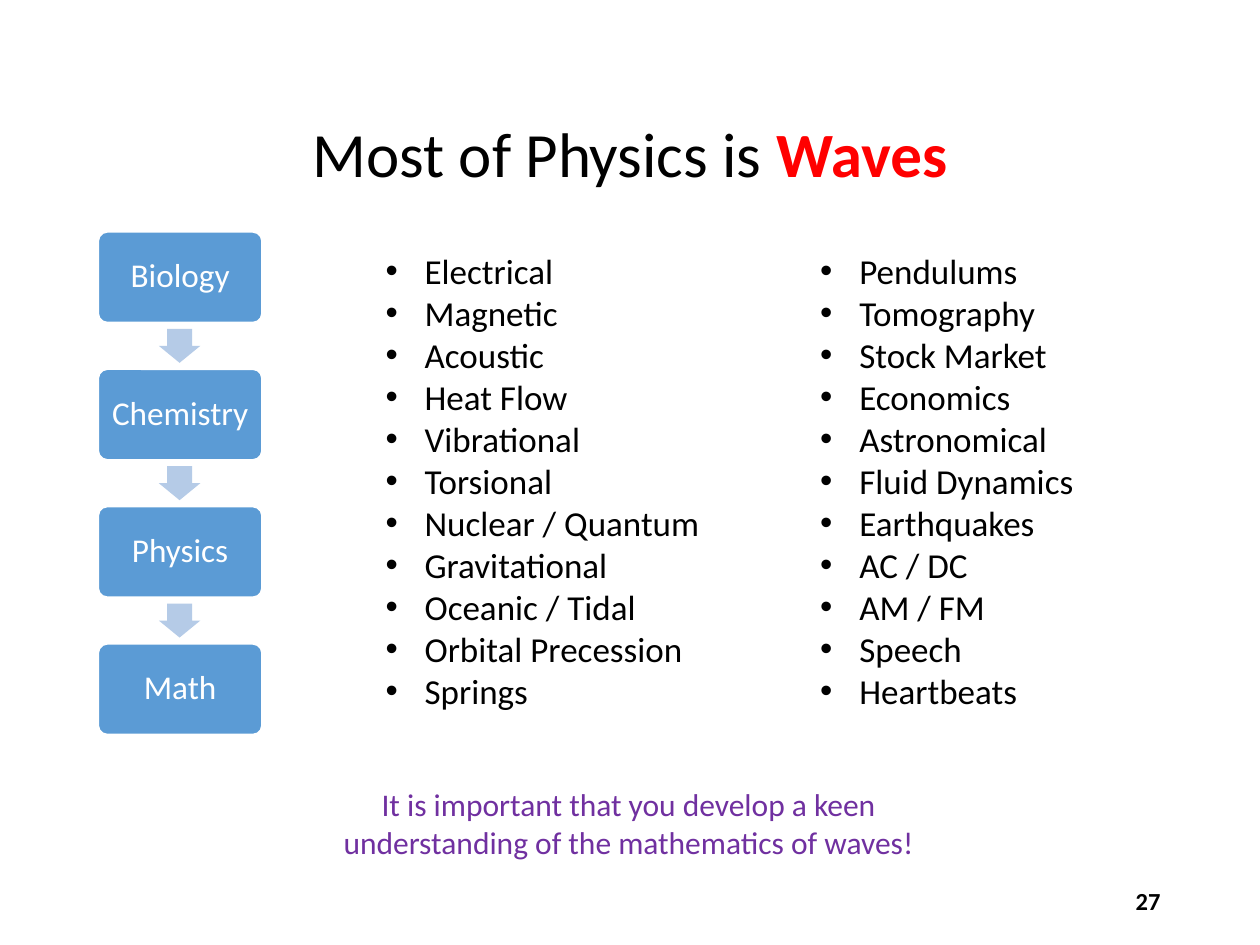
from dataclasses import dataclass

from pptx import Presentation
from pptx.dml.color import RGBColor
from pptx.enum import shapes, text
from pptx.util import Inches, Pt


@dataclass(frozen=True)
class Theme:
    face: str = "Calibri"
    ink: str = "000000"
    red: str = "FF0000"
    note: str = "7030A0"
    box: str = "5B9BD5"
    arrow: str = "B5CBE7"
    white: str = "FFFFFF"
    head: float = 36
    body: float = 20
    step: float = 19
    foot: float = 18
    page: float = 14


@dataclass(frozen=True)
class Area:
    left: float
    top: float
    width: float
    height: float

    def dims(self) -> tuple:
        return tuple(map(Inches, (self.left, self.top, self.width, self.height)))


@dataclass(frozen=True)
class Topics:
    slot: int
    area: Area
    items: tuple[str, ...]


THEME = Theme()
LEFT, CENTER, RIGHT = text.PP_ALIGN.LEFT, text.PP_ALIGN.CENTER, text.PP_ALIGN.RIGHT
TOP, MIDDLE = text.MSO_ANCHOR.TOP, text.MSO_ANCHOR.MIDDLE

STEPS = ("Biology", "Chemistry", "Physics", "Math")
FIRST = Area(0.78, 1.84, 1.3, 0.72)
ARROW = Area(1.29, 2.58, 0.27, 0.33)
PITCH = 1.09

LISTS = (
    Topics(1, Area(2.96, 1.93, 3.13, 3.8), (
        "Electrical", "Magnetic", "Acoustic", "Heat Flow", "Vibrational",
        "Torsional", "Nuclear / Quantum", "Gravitational", "Oceanic / Tidal",
        "Orbital Precession", "Springs")),
    Topics(2, Area(6.41, 1.93, 2.47, 3.8), (
        "Pendulums", "Tomography", "Stock Market", "Economics", "Astronomical",
        "Fluid Dynamics", "Earthquakes", "AC / DC", "AM / FM", "Speech",
        "Heartbeats")),
)


def place(shape, area: Area) -> None:
    shape.left, shape.top, shape.width, shape.height = area.dims()


def write(shape, lines: tuple[str, ...], size: float, color: str,
          align=CENTER, anchor=TOP, bold: bool = False) -> None:
    frame = shape.text_frame
    frame.text = "\n".join(lines)
    frame.word_wrap = True
    frame.auto_size = text.MSO_AUTO_SIZE.NONE
    frame.vertical_anchor = anchor
    for para in frame.paragraphs:
        para.alignment = align
        para.space_before = Pt(0)
        font = para.font
        font.name, font.size, font.bold = THEME.face, Pt(size), bold
        font.color.rgb = RGBColor.from_string(color)


def title(slide) -> None:
    shape = slide.shapes.title
    place(shape, Area(2.12, 0.86, 5.76, 0.71))
    write(shape, ("Most of Physics is ",), THEME.head, THEME.ink)
    run = shape.text_frame.paragraphs[0].add_run()
    run.text = "Waves"
    run.font.bold = True
    run.font.color.rgb = RGBColor.from_string(THEME.red)


def topics(slide, group: Topics) -> None:
    shape = slide.placeholders[group.slot]
    place(shape, group.area)
    write(shape, group.items, THEME.body, THEME.ink, LEFT)
    hang = Inches(0.31)
    for para in shape.text_frame.paragraphs:
        props = para._p.get_or_add_pPr()
        props.set("marL", str(hang))
        props.set("indent", str(-hang))


def label(slide, area: Area, lines: tuple[str, ...], size: float,
          color: str, **style) -> None:
    write(slide.shapes.add_textbox(*area.dims()), lines, size, color, **style)


def solid(slide, kind, area: Area, color: str):
    shape = slide.shapes.add_shape(kind, *area.dims())
    shape.shadow.inherit = False
    shape.fill.solid()
    shape.fill.fore_color.rgb = RGBColor.from_string(color)
    shape.line.fill.background()
    return shape


def shift(area: Area, row: int) -> Area:
    return Area(area.left, area.top + row * PITCH, area.width, area.height)


def step(slide, row: int, name: str) -> None:
    box = solid(slide, shapes.MSO_SHAPE.ROUNDED_RECTANGLE, shift(FIRST, row), THEME.box)
    box.adjustments[0] = 0.1
    box.line.color.rgb = RGBColor.from_string(THEME.white)
    box.line.width = Pt(1)
    write(box, (name,), THEME.step, THEME.white, anchor=MIDDLE)
    frame = box.text_frame
    frame.margin_left = frame.margin_right = Inches(0.08)
    frame.paragraphs[0].line_spacing = 0.9


def arrow(slide, row: int) -> None:
    shape = solid(slide, shapes.MSO_SHAPE.RIGHT_ARROW, shift(ARROW, row), THEME.arrow)
    shape.rotation = 90
    shape.adjustments[0] = 0.6
    shape.adjustments[1] = 0.5


def main() -> None:
    deck = Presentation()
    deck.slide_width, deck.slide_height = Inches(10), Inches(7.5)
    slide = deck.slides.add_slide(deck.slide_layouts.get_by_name("Two Content"))
    title(slide)
    for group in LISTS:
        topics(slide, group)
    for row, name in enumerate(STEPS):
        step(slide, row, name)
        if row < len(STEPS) - 1:
            arrow(slide, row)
    label(slide, Area(1.43, 6.18, 7.12, 0.71),
          ("It is important that you develop a keen",
           "understanding of the mathematics of waves!"), THEME.foot, THEME.note)
    label(slide, Area(7.06, 6.95, 2.25, 0.4), ("27",), THEME.page, THEME.ink,
          align=RIGHT, anchor=MIDDLE, bold=True)
    deck.save("out.pptx")


if __name__ == "__main__":
    main()
